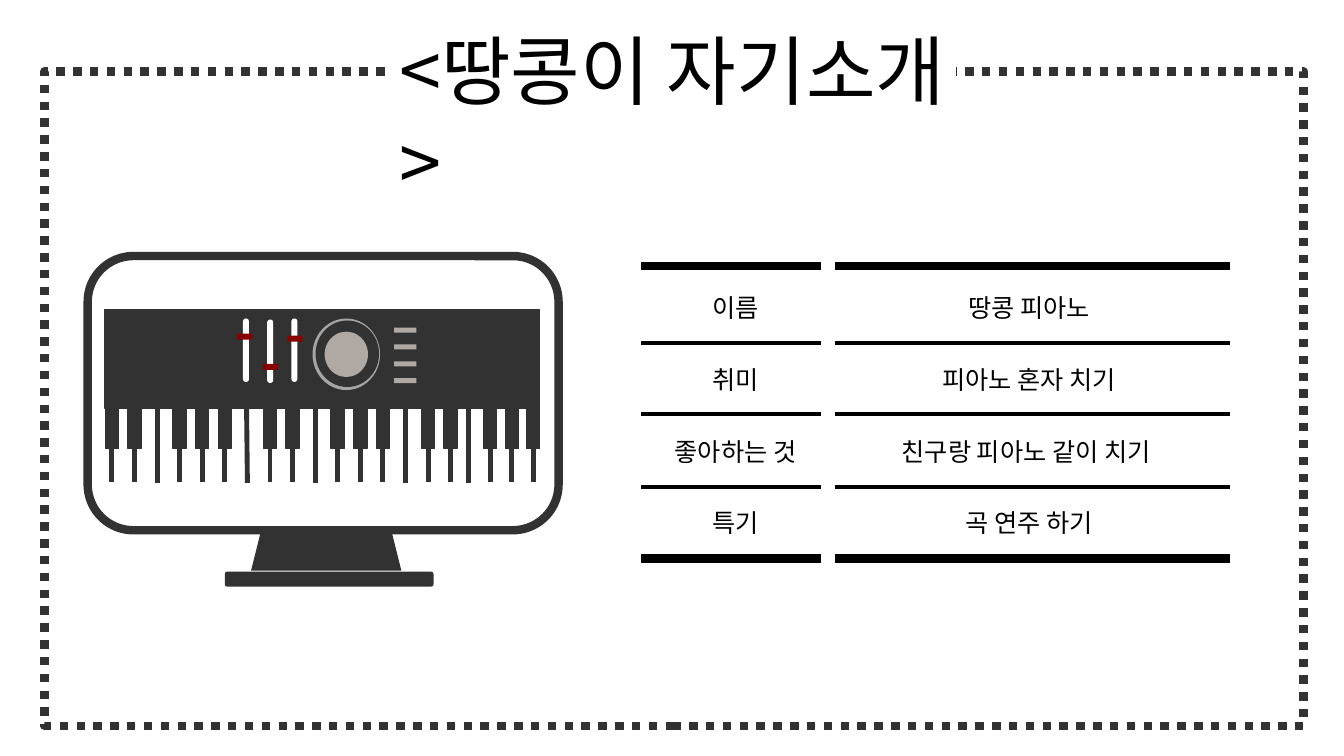
from lxml import etree
from pptx import Presentation, util as u
from pptx.dml.color import RGBColor
from pptx.enum import dml, shapes, text
from pptx.oxml.ns import qn

KIND = shapes.MSO_SHAPE
COLORS = {"ink": "323232", "black": "000000", "white": "FFFFFF",
          "red": "880202", "ring": "A5A5A5", "stone": "AFA8A3"}


class ProfileSlide:
    """Draw styled elements on a grid of 133.3 columns by 75 rows."""

    font_name = "Noto Sans CJK KR"
    columns, rows = 133.3, 75

    def __init__(self, presentation):
        presentation.slide_width = u.Inches(13.33)
        presentation.slide_height = u.Inches(7.5)
        self.column = presentation.slide_width / self.columns
        self.row = presentation.slide_height / self.rows
        self.slide = presentation.slides.add_slide(presentation.slide_layouts[5])

    def place(self, left, top, width, height):
        return (round(left * self.column), round(top * self.row),
                round(width * self.column), round(height * self.row))

    def color(self, name):
        return RGBColor.from_string(COLORS[name])

    def fill(self, target, name):
        target.fill.solid()
        target.fill.fore_color.rgb = self.color(name)

    def stroke(self, line, name, weight):
        line.color.rgb = self.color(name)
        line.width = u.Pt(weight)

    def set_text(self, paragraph, words, size, alignment):
        paragraph.text = words
        paragraph.alignment = alignment
        paragraph.font.size = u.Pt(size)
        paragraph.font.color.rgb = self.color("black")
        paragraph.font.name = self.font_name
        properties = paragraph._p.find(qn("a:pPr")).find(qn("a:defRPr"))
        etree.SubElement(properties, qn("a:ea"), typeface=self.font_name)

    def title(self, words, box, size, leading):
        shape = self.slide.shapes.title
        shape.left, shape.top, shape.width, shape.height = self.place(*box)
        self.fill(shape, "white")
        frame = shape.text_frame
        frame.word_wrap = True
        frame.auto_size = text.MSO_AUTO_SIZE.NONE
        frame.vertical_anchor = text.MSO_ANCHOR.TOP
        paragraph = frame.paragraphs[0]
        self.set_text(paragraph, words, size, text.PP_ALIGN.LEFT)
        paragraph.line_spacing = u.Pt(leading)
        return shape

    def shape(self, kind, box, fill=None, line=None, weight=1, round_ends=False):
        shape = self.slide.shapes.add_shape(kind, *self.place(*box))
        shape.shadow.inherit = False
        if fill:
            self.fill(shape, fill)
        else:
            shape.fill.background()
        if line:
            self.stroke(shape.line, line, weight)
        else:
            shape.line.fill.background()
        if round_ends:
            shape.adjustments[0] = 0.5
        return shape

    def line(self, start, end, color, weight, above=None):
        connector = self.slide.shapes.add_connector(
            shapes.MSO_CONNECTOR.STRAIGHT, *self.place(*start, *end))
        self.stroke(connector.line, color, weight)
        etree.SubElement(connector.element.spPr, qn("a:effectLst"))
        if above is not None:
            connector.begin_connect(above, 2)

    def table(self, entries, box, widths):
        table = self.slide.shapes.add_table(
            len(entries), len(widths), *self.place(*box)).table
        table.first_row = table.horz_banding = False
        for column, width in zip(table.columns, widths):
            column.width = round(width * self.column)
        for row, entry in enumerate(entries):
            for column, words in enumerate(entry):
                cell = table.cell(row, column)
                self.fill(cell, "white")
                cell.vertical_anchor = text.MSO_ANCHOR.MIDDLE
                self.set_text(cell.text_frame.paragraphs[0], words, 18,
                              text.PP_ALIGN.CENTER)


def draw_monitor(page):
    page.shape(KIND.ROUNDED_RECTANGLE, (8.7, 25.4, 46.7, 27.2), line="ink", weight=6)
    page.shape(KIND.TRAPEZOID, (24.9, 52.9, 14.9, 3.7), "ink")
    page.shape(KIND.ROUNDED_RECTANGLE, (22.3, 56.7, 20.7, 1.5), "ink")


def draw_keyboard(page):
    centers = [11.1 + 2.24 * i for i in range(16)] + [46.5 + 2.13 * i for i in range(4)]
    long_gaps = {2: 0, 6: -0.2, 9: 0, 13: 0, 16: 0}
    for index, center in enumerate(centers):
        if index in long_gaps:
            page.line((center + long_gaps[index], 30.7), (center, 47.9), "ink", 3.5)
        else:
            key = page.shape(KIND.RECTANGLE, (center - 0.65, 30.7, 1.3, 13.8), "ink", "ink")
            page.line((center, 44.5), (center, 47.8), "ink", 3.5, above=key)
    page.shape(KIND.RECTANGLE, (10.4, 30.7, 43.1, 9.8), "ink", "ink")
    for left, top, knob_left, knob_top in ((24.1, 31.6, 23.5, 33.1),
                                           (26.5, 31.7, 26.1, 36.1),
                                           (28.9, 31.6, 28.5, 33.3)):
        page.shape(KIND.ROUNDED_RECTANGLE, (left, top, 0.6, 6.3), "white", round_ends=True)
        page.shape(KIND.RECTANGLE, (knob_left, knob_top, 1.5, 0.6), "red")
    for box, color in (((31, 31.6, 6.7, 7.1), "ring"),
                       ((31.3, 31.8, 6.3, 6.6), "ink"),
                       ((32.2, 32.9, 4.3, 4.5), "stone")):
        page.shape(KIND.OVAL, box, color)
    for index in range(4):
        page.shape(KIND.RECTANGLE, (39.1, 32.5 + 1.67 * index, 2.2, 0.5), "stone")


def draw_profile(page):
    entries = [("이름", "땅콩 피아노"), ("취미", "피아노 혼자 치기"),
               ("좋아하는 것", "친구랑 피아노 같이 치기 "), ("특기", "곡 연주 하기")]
    page.table(entries, (63.7, 26.9, 58.2, 28.4), (18.5, 39.7))
    for top, weight in ((26.4, 6), (55.4, 6), (48.3, 3), (41.1, 3), (34, 3)):
        page.line((63.6, top), (122, top), "black", weight)
    page.line((82.1, 25.4), (82.1, 60.5), "white", 10)


def main():
    presentation = Presentation()
    page = ProfileSlide(presentation)
    border = page.shape(KIND.RECTANGLE, (4.4, 7.1, 124.9, 64.9), line="ink", weight=6)
    border.line.dash_style = dml.MSO_LINE.ROUND_DOT
    title = page.title("<땅콩이 자기소개>", (38.6, 1.7, 56.2, 10.1), 54, 66)
    border.element.addnext(title.element)
    draw_monitor(page)
    draw_keyboard(page)
    draw_profile(page)
    presentation.save("out.pptx")


if __name__ == "__main__":
    main()
